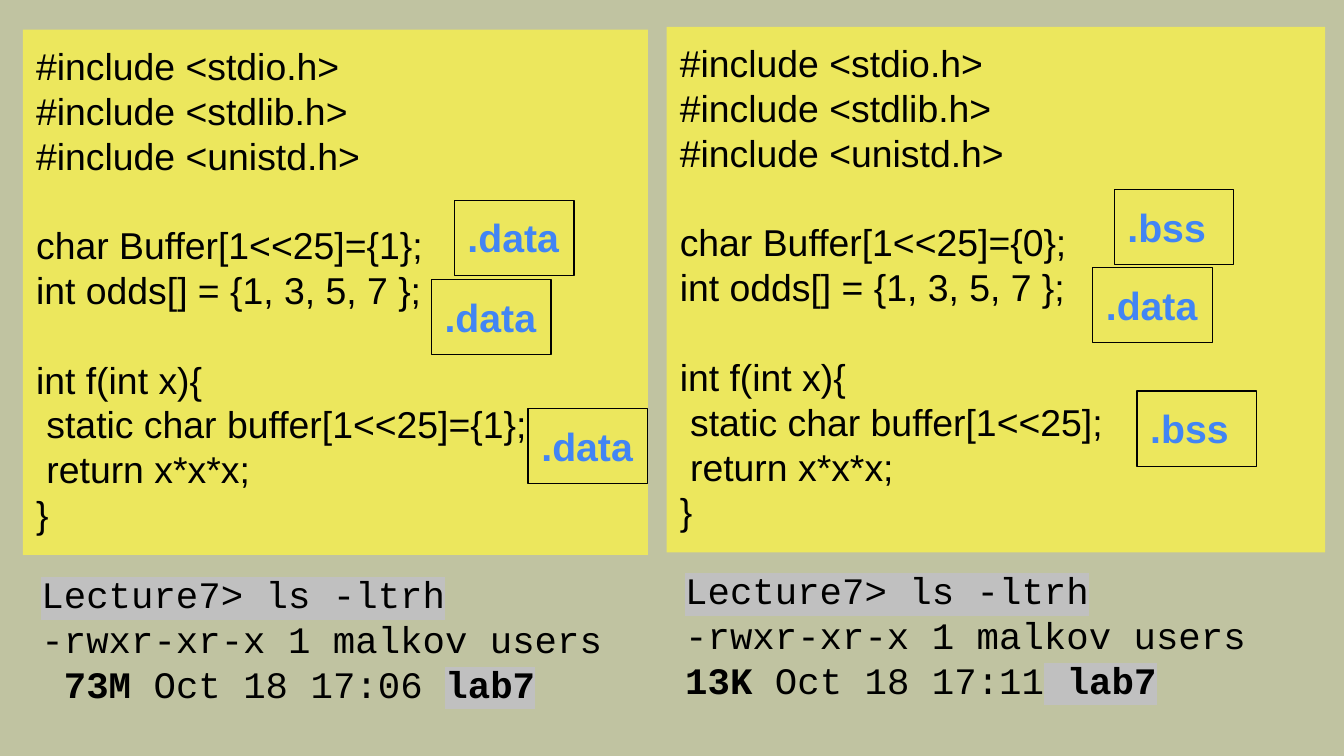
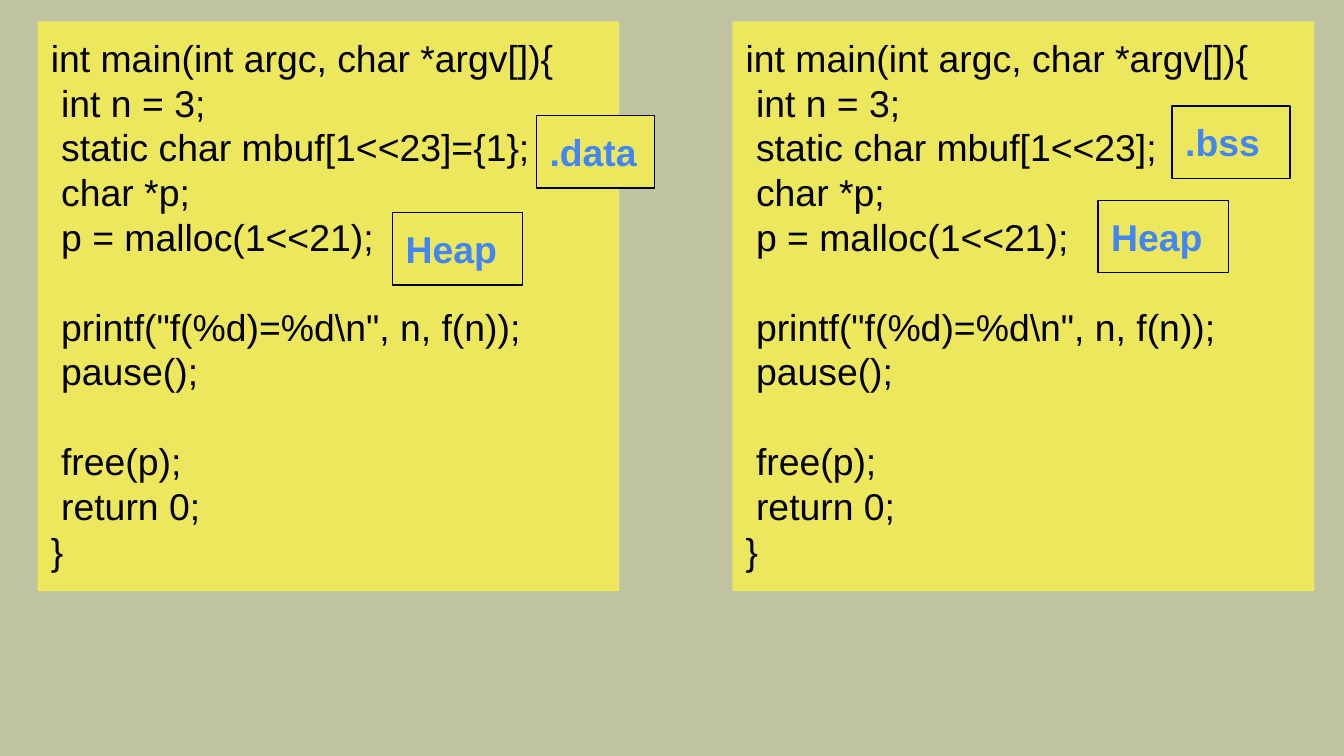
from dataclasses import dataclass

from lxml import etree
from pptx import Presentation
from pptx import util as u
from pptx.dml.color import RGBColor
from pptx.enum import shapes, text
from pptx.oxml.ns import qn
from pptx.slide import Slide

WIDTH = u.Inches(10)
HEIGHT = WIDTH * 9 // 16
COLUMNS = 100
CELL = WIDTH / COLUMNS


@dataclass(frozen=True)
class Theme:
    page: str = "C0C3A1"
    panel: str = "ECE75D"
    ink: str = "000000"
    label: str = "4285F4"
    highlight: str = "C0C0C0"
    code_font: str = "Arial"
    shell_font: str = "Courier New"
    code_size: int = 20
    large_label_size: int = 21
    leading: float = 1.2
    border: float = 0.75
    inset: float = 0.1


THEME = Theme()


@dataclass(frozen=True)
class Area:
    column: float
    row: float
    columns: float
    rows: float


@dataclass(frozen=True)
class Span:
    text: str
    bold: bool = False
    highlighted: bool = False


@dataclass(frozen=True)
class Line:
    spans: tuple[Span, ...]
    after_gap: bool = False


@dataclass(frozen=True)
class Style:
    font: str = THEME.code_font
    size: int = THEME.code_size
    color: str = THEME.ink
    fill: str | None = None
    bordered: bool = False


@dataclass(frozen=True)
class Label:
    text: str
    column: float
    row: float


PANEL = Style(fill=THEME.panel)
SHELL = Style(font=THEME.shell_font)
CLEAR_LABEL = Style(size=THEME.large_label_size, color=THEME.label, bordered=True)
FILLED_LABEL = Style(color=THEME.label, fill=THEME.panel, bordered=True)


def code(*groups: str) -> list[Line]:
    return [Line((Span(row),), after_gap=index > 0 and position == 0)
            for index, group in enumerate(groups)
            for position, row in enumerate(group.split("\n"))]


def globals_code(buffer_value: str, static_value: str) -> list[Line]:
    return code(
        "#include <stdio.h>\n#include <stdlib.h>\n#include <unistd.h>",
        f"char Buffer[1<<25]={buffer_value};\nint odds[] = {{1, 3, 5, 7 }};",
        f"int f(int x){{\n static char buffer[1<<25]{static_value};\n return x*x*x;\n}}",
    )


def main_code(static_value: str) -> list[Line]:
    return code(
        "int main(int argc, char *argv[]){\n int n = 3;\n"
        f" static char mbuf[1<<23]{static_value};\n char *p;\n p = malloc(1<<21);",
        ' printf("f(%d)=%d\\n", n, f(n));\n pause();',
        " free(p);\n return 0;\n}",
    )


def listing(size: str, *ending: Span) -> list[Line]:
    return [
        Line((Span("Lecture7> ls -ltrh", highlighted=True),)),
        Line((Span("-rwxr-xr-x 1 malkov users "), Span(f" {size}", bold=True), *ending)),
    ]


def highlight(font_properties: etree._Element) -> None:
    mark = etree.Element(qn("a:highlight"))
    etree.SubElement(mark, qn("a:srgbClr"), val=THEME.highlight)
    font_properties.find(qn("a:solidFill")).addnext(mark)


def write(frame, lines: list[Line], style: Style) -> None:
    leading = u.Pt(style.size * THEME.leading)
    for index, line in enumerate(lines):
        para = frame.paragraphs[0] if index == 0 else frame.add_paragraph()
        layout = {
            "alignment": text.PP_ALIGN.LEFT,
            "line_spacing": leading,
            "space_before": leading if line.after_gap else u.Pt(0),
            "space_after": u.Pt(0),
        }
        for name, value in layout.items():
            setattr(para, name, value)
        for span in line.spans:
            run = para.add_run()
            run.text = span.text
            look = {"name": style.font, "size": u.Pt(style.size), "bold": span.bold}
            for name, value in look.items():
                setattr(run.font, name, value)
            run.font.color.rgb = RGBColor.from_string(style.color)
            if span.highlighted:
                highlight(run.font._element)


def add_box(page: Slide, area: Area, lines: list[Line], style: Style) -> None:
    bounds = [round(CELL * length)
              for length in (area.column, area.row, area.columns, area.rows)]
    if style.fill or style.bordered:
        box = page.shapes.add_shape(shapes.MSO_SHAPE.RECTANGLE, *bounds)
        box.shadow.inherit = False
    else:
        box = page.shapes.add_textbox(*bounds)
    if style.fill:
        box.fill.solid()
        box.fill.fore_color.rgb = RGBColor.from_string(style.fill)
    else:
        box.fill.background()
    if style.bordered:
        box.line.color.rgb = RGBColor.from_string(THEME.ink)
        box.line.width = u.Pt(THEME.border)
    else:
        box.line.fill.background()
    frame = box.text_frame
    margins = {f"margin_{side}": u.Inches(THEME.inset)
               for side in ("left", "top", "right", "bottom")}
    settings = {
        **margins,
        "word_wrap": True,
        "auto_size": text.MSO_AUTO_SIZE.NONE,
        "vertical_anchor": text.MSO_ANCHOR.TOP,
    }
    for name, value in settings.items():
        setattr(frame, name, value)
    write(frame, lines, style)


def add_labels(page: Slide, labels: list[Label], style: Style, rows: float,
               widths: dict[str, float]) -> None:
    for label in labels:
        area = Area(label.column, label.row, widths[label.text], rows)
        add_box(page, area, [Line((Span(label.text, bold=True),))], style)


def add_page(deck) -> Slide:
    page = deck.slides.add_slide(deck.slide_layouts[6])
    page.background.fill.solid()
    page.background.fill.fore_color.rgb = RGBColor.from_string(THEME.page)
    return page


def add_globals_page(deck) -> None:
    page = add_page(deck)
    add_box(page, Area(1.7, 2.2, 46.5, 39.1), globals_code("{1}", "={1}"), PANEL)
    add_box(page, Area(49.6, 2, 49, 39.1), globals_code("{0}", ""), PANEL)
    add_box(page, Area(2.1, 41.5, 45.2, 12.1),
            listing("73M", Span(" Oct 18 17:06 "),
                    Span("lab7", bold=True, highlighted=True)), SHELL)
    add_box(page, Area(50, 41.2, 48.6, 12.1),
            listing("13K", Span(" Oct 18 17:11"),
                    Span(" lab7", bold=True, highlighted=True)), SHELL)
    labels = [
        Label(".bss", 82.9, 14.1), Label(".data", 81.3, 19.9),
        Label(".data", 33.8, 14.9), Label(".data", 32.1, 20.8),
        Label(".data", 39.3, 30.4), Label(".bss", 84.6, 29.1),
    ]
    add_labels(page, labels, CLEAR_LABEL, 5.6, {".bss": 8.9, ".data": 8.9})


def add_main_page(deck) -> None:
    page = add_page(deck)
    for column, static_value in ((2.8, "={1}"), (54.5, "")):
        add_box(page, Area(column, 1.6, 43.3, 42.4), main_code(static_value), PANEL)
    labels = [
        Label("Heap", 29.2, 15.8), Label("Heap", 81.7, 14.9),
        Label(".bss", 87.2, 7.9), Label(".data", 39.9, 8.6),
    ]
    add_labels(page, labels, FILLED_LABEL, 5.4,
               {"Heap": 9.7, ".bss": 8.8, ".data": 8.8})


def main() -> None:
    deck = Presentation()
    deck.slide_width, deck.slide_height = WIDTH, HEIGHT
    add_globals_page(deck)
    add_main_page(deck)
    deck.save("out.pptx")


main()
